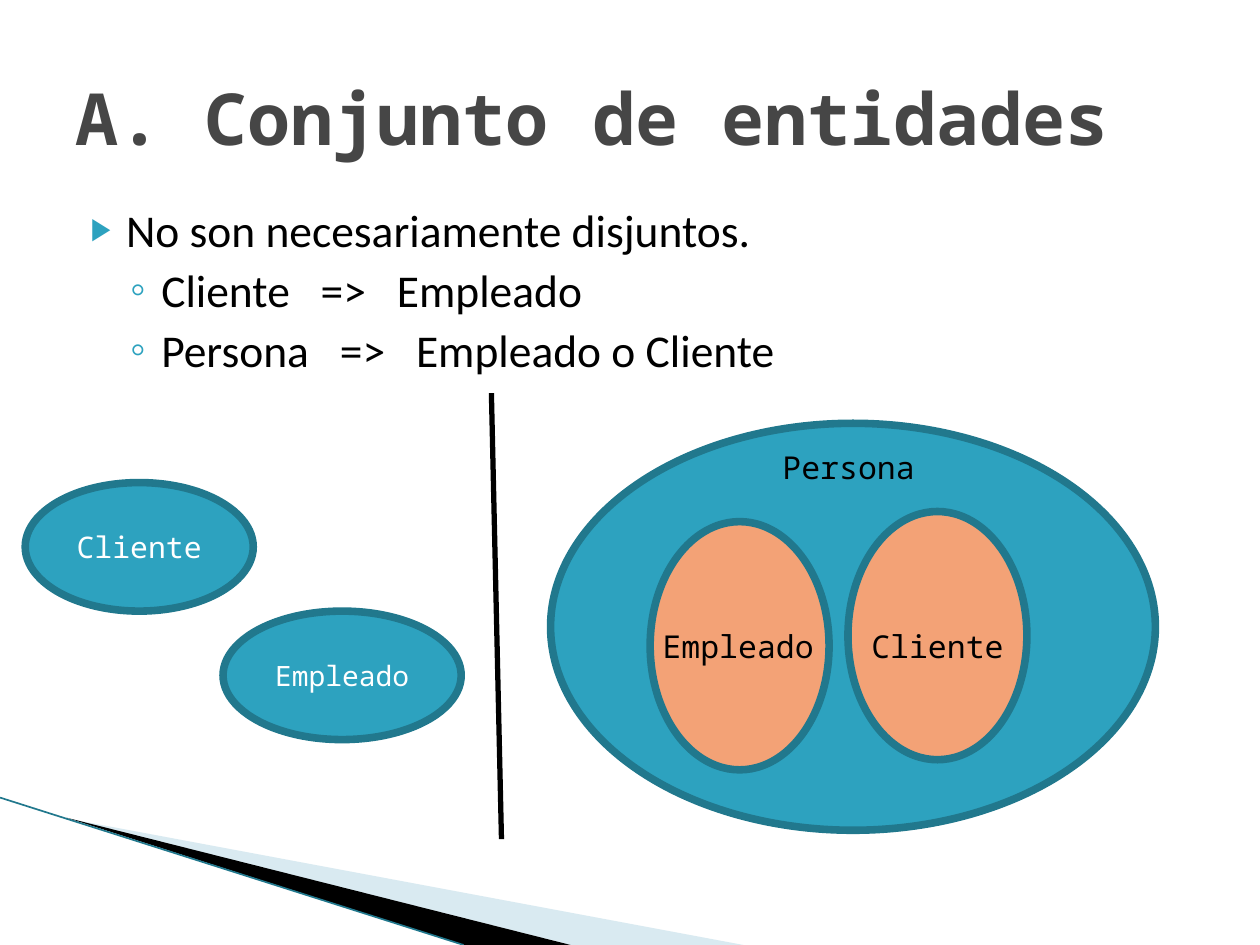
from pptx import Presentation
from pptx.util import Inches, Pt
from pptx.dml.color import RGBColor
from pptx.enum.shapes import MSO_SHAPE, MSO_CONNECTOR
from pptx.enum.text import PP_ALIGN, MSO_ANCHOR, MSO_AUTO_SIZE
from pptx.oxml.ns import qn
from lxml.etree import SubElement

HUES = {"teal": "2DA2BF", "edge": "21788D", "peach": "F3A276", "pale": "A0CBDC",
        "gray": "464646", "black": "000000", "white": "FFFFFF"}
MONO = "Noto Sans Mono"


def rgb(name):
    return RGBColor.from_string(HUES[name])


def write(par, text, size=18, font=MONO, hue="black", bold=False, align=PP_ALIGN.LEFT):
    par.alignment = align
    run = par.add_run()
    run.text = text
    run.font.size = Pt(size)
    run.font.name = font
    run.font.bold = bold
    run.font.color.rgb = rgb(hue)


deck = Presentation()
deck.slide_width, deck.slide_height = Inches(10), Inches(7.5)
slide = deck.slides.add_slide(deck.slide_layouts[1])
shapes = slide.shapes

# Corner wedges
wedges = [
    ("pale", 40, [(0.55, 6.5), (5.9, 7.5), (4.53, 7.5)]),
    ("black", 100, [(0.53, 6.49), (4.53, 7.5), (3.68, 7.5)]),
]
for hue, alpha, (start, *rest) in wedges:
    pen = shapes.build_freeform(Inches(start[0]), Inches(start[1]))
    pen.add_line_segments([(Inches(x), Inches(y)) for x, y in rest])
    wedge = pen.convert_to_shape()
    wedge.shadow.inherit = False
    wedge.fill.solid()
    wedge.fill.fore_color.rgb = rgb(hue)
    wedge.line.fill.background()
    if alpha < 100:
        color = wedge.fill._xPr.find(qn("a:solidFill"))[0]
        SubElement(color, qn("a:alpha"), val=str(alpha * 1000))

# Corner edge and divider
for x1, y1, x2, y2, hue, width in [
    (0, 6.33, 3.68, 7.5, "edge", 0.95),
    (3.9, 3.12, 3.98, 6.66, "black", 3),
]:
    line = shapes.add_connector(MSO_CONNECTOR.STRAIGHT, Inches(x1), Inches(y1),
                                Inches(x2), Inches(y2))
    line.line.color.rgb = rgb(hue)
    line.line.width = Pt(width)
    SubElement(line._element.spPr, qn("a:effectLst"))

# Title
title = shapes.title
title.left, title.top, title.width, title.height = map(Inches, (0.5, 0.3, 9, 1.25))
title.text_frame.auto_size = MSO_AUTO_SIZE.NONE
title.text_frame.vertical_anchor = MSO_ANCHOR.MIDDLE
write(title.text_frame.paragraphs[0], "A. Conjunto de entidades",
      size=41, hue="gray", bold=True)

# Bullet list
body = slide.placeholders[1]
body.left, body.top, body.width, body.height = map(Inches, (0.5, 1.55, 9, 1.43))
frame = body.text_frame
frame.auto_size = MSO_AUTO_SIZE.NONE
levels = [(0.4, -0.28, 4, "▶", 68), (0.68, -0.25, 3.2, "◦", 100)]
items = [
    (0, "No son necesariamente disjuntos."),
    (1, "Cliente   =>   Empleado"),
    (1, "Persona   =>   Empleado o Cliente"),
]
for i, (level, text) in enumerate(items):
    par = frame.add_paragraph() if i else frame.paragraphs[0]
    margin, indent, before, mark, scale = levels[level]
    write(par, text, size=26, font="Calibri")
    par.level = level
    par.space_before = Pt(before)
    props = par._p.get_or_add_pPr()
    props.set("marL", str(Inches(margin)))
    props.set("indent", str(Inches(indent)))
    tint = SubElement(props, qn("a:buClr"))
    SubElement(tint, qn("a:srgbClr"), val=HUES["teal"])
    SubElement(props, qn("a:buSzPct"), val=str(scale * 1000))
    SubElement(props, qn("a:buChar"), char=mark)

# Entity sets
sets = [
    (0.2, 3.83, 1.81, 1.02, "teal", "Cliente", 17),
    (1.77, 4.85, 1.89, 1.02, "teal", "Empleado", 16),
    (4.37, 3.36, 4.8, 3.23, "teal", "", 0),
    (5.16, 4.14, 1.42, 1.97, "peach", "", 0),
    (6.73, 4.06, 1.42, 1.97, "peach", "", 0),
]
for *place, hue, text, size in sets:
    oval = shapes.add_shape(MSO_SHAPE.OVAL, *map(Inches, place))
    oval.shadow.inherit = False
    oval.fill.solid()
    oval.fill.fore_color.rgb = rgb(hue)
    oval.line.color.rgb = rgb("edge")
    oval.line.width = Pt(4.33)
    if text:
        oval.text_frame.word_wrap = False
        oval.text_frame.vertical_anchor = MSO_ANCHOR.MIDDLE
        write(oval.text_frame.paragraphs[0], text, size=size, hue="white",
              align=PP_ALIGN.CENTER)

# Labels of the nested sets
for x, y, width, text, align in [
    (5.71, 3.51, 2.05, "Persona", PP_ALIGN.CENTER),
    (5.16, 4.93, 1.42, "Empleado", PP_ALIGN.LEFT),
    (6.73, 4.93, 1.42, "Cliente", PP_ALIGN.CENTER),
]:
    label = shapes.add_textbox(Inches(x), Inches(y), Inches(width), Inches(0.4))
    label.text_frame.word_wrap = True
    write(label.text_frame.paragraphs[0], text, align=align)

deck.save("out.pptx")
